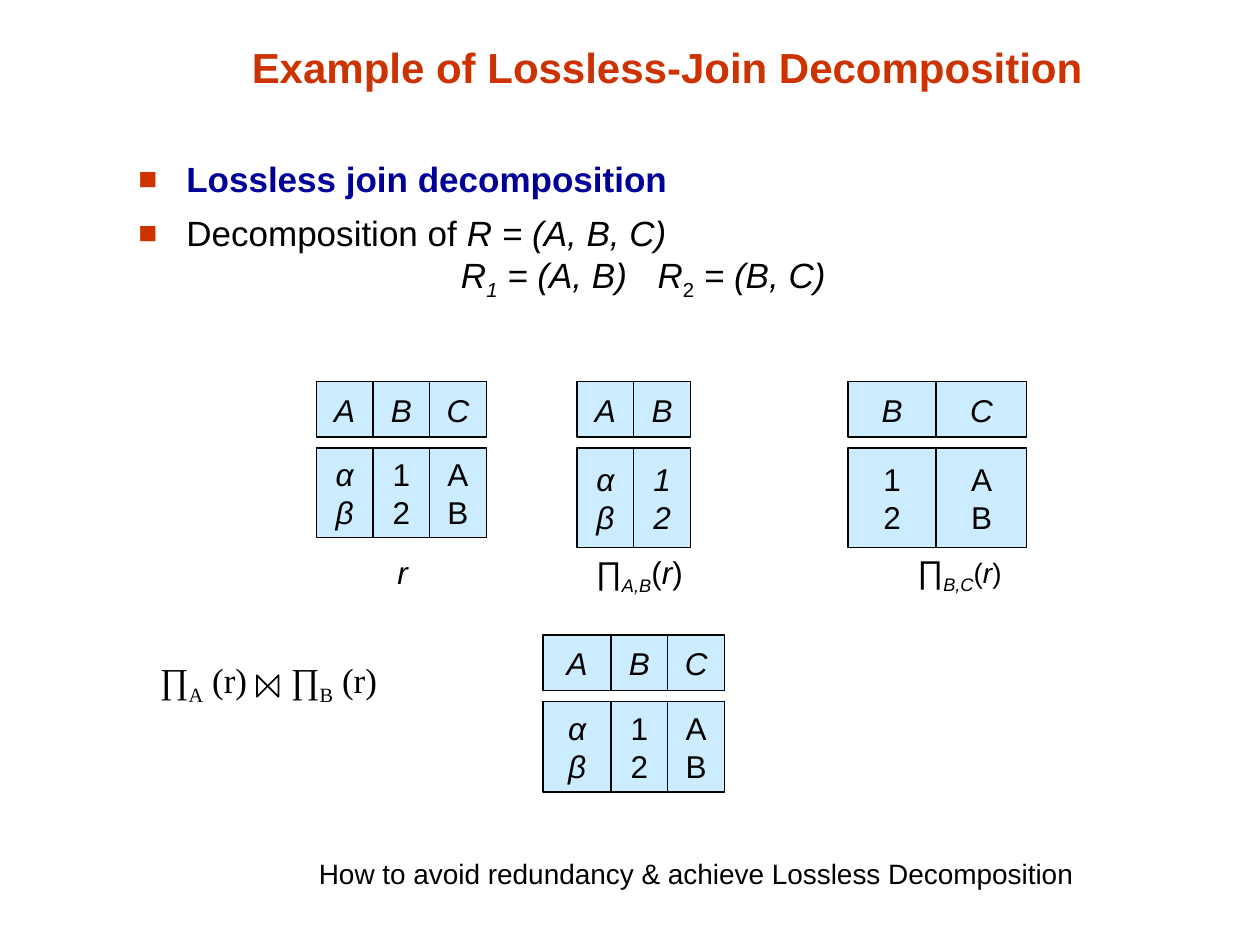
from dataclasses import dataclass

from lxml import etree
from pptx import Presentation
from pptx.dml.color import RGBColor
from pptx.enum.shapes import MSO_SHAPE
from pptx.enum.text import MSO_ANCHOR, PP_ALIGN
from pptx.oxml import parse_xml
from pptx.oxml.ns import nsdecls, qn
from pptx.util import Inches, Pt

RECTANGLE = MSO_SHAPE.RECTANGLE
TOP, MIDDLE, BOTTOM = MSO_ANCHOR.TOP, MSO_ANCHOR.MIDDLE, MSO_ANCHOR.BOTTOM
LEFT, CENTER = PP_ALIGN.LEFT, PP_ALIGN.CENTER


@dataclass(frozen=True)
class Theme:
    accent: str = "CC3300"
    term: str = "000099"
    ink: str = "000000"
    cell: str = "CCECFF"
    sans: str = "Arial"
    serif: str = "Times New Roman"
    title: int = 24
    body: int = 20
    table: int = 18
    small: int = 16


theme = Theme()


def write(para, spans, size, color=theme.ink, font=theme.sans, align=CENTER):
    para.alignment = align
    for text, style in spans:
        if style == "break":
            para.add_line_break()
            continue
        run = para.add_run()
        run.text = text
        run.font.name = font
        run.font.size = Pt(theme.small if "small" in style else size)
        run.font.color.rgb = RGBColor.from_string(color)
        run.font.bold = "bold" in style
        run.font.italic = "italic" in style
        if "sub" in style:
            run.font._element.set("baseline", "-25000")


def add_text_box(left, top, width, height, anchor=TOP):
    box = page.shapes.add_textbox(Inches(left), Inches(top), Inches(width), Inches(height))
    box.text_frame.word_wrap = True
    box.text_frame.vertical_anchor = anchor
    return box.text_frame


deck = Presentation()
deck.slide_width, deck.slide_height = Inches(10), Inches(7.5)
page = deck.slides.add_slide(deck.slide_layouts[5])

title = page.shapes.title
title.left, title.top = Inches(0.69), Inches(0.28)
title.width, title.height = Inches(9.21), Inches(0.5)
title.text_frame.vertical_anchor = BOTTOM
write(title.text_frame.paragraphs[0], [("Example of Lossless-Join Decomposition", "bold")],
      theme.title, theme.accent)

body = add_text_box(1, 1.2, 7.65, 1.32)
bullets = [
    (theme.term, [("Lossless join decomposition", "bold")]),
    (theme.ink, [
        ("Decomposition of ", ""), ("R = (A, B, C)", "italic"), ("", "break"),
        ("\tR", "italic"), ("1", "italic sub"), (" = (A, B)\tR", "italic"),
        ("2", "sub"), (" = (B, C)", "italic"),
    ]),
]
for index, (color, spans) in enumerate(bullets):
    para = body.add_paragraph() if index else body.paragraphs[0]
    properties = para._p.get_or_add_pPr()
    properties.set("marL", str(Inches(0.38)))
    properties.set("indent", str(-Inches(0.38)))
    for markup in (
        f'<a:buClr {nsdecls("a")}><a:srgbClr val="{theme.accent}"/></a:buClr>',
        f'<a:buSzPct {nsdecls("a")} val="90000"/>',
        f'<a:buFont {nsdecls("a")} typeface="{theme.sans}"/>',
        f'<a:buChar {nsdecls("a")} char="■"/>',
        f'<a:tabLst {nsdecls("a")}><a:tab pos="{Inches(2.56)}" algn="l"/>'
        f'<a:tab pos="{Inches(4.12)}" algn="l"/></a:tabLst>',
    ):
        properties.append(parse_xml(markup))
    para.space_before = Pt(7 * index)
    write(para, spans, theme.body, color, align=LEFT)

values = {"A": "αβ", "B": "12", "C": "AB"}
header_height, row_offset = 0.44, 0.525
relations = [
    (2.51, 3.03, 0.71, {"A": 0.45, "B": 0.45, "C": 0.45}, "A"),
    (4.58, 3.03, 0.79, {"A": 0.45, "B": 0.45}, "AB"),
    (6.73, 3.03, 0.79, {"B": 0.7, "C": 0.72}, ""),
    (4.31, 5.04, 0.72, {"A": 0.54, "B": 0.45, "C": 0.45}, "A"),
]
for left, top, value_height, columns, italic_columns in relations:
    for name, width in columns.items():
        value_style = "italic" if name in italic_columns else ""
        for y, height, lines, style in (
            (top, header_height, name, "italic"),
            (top + row_offset, value_height, values[name], value_style),
        ):
            cell = page.shapes.add_shape(
                RECTANGLE, Inches(left), Inches(y), Inches(width), Inches(height))
            cell.shadow.inherit = False
            cell.fill.solid()
            cell.fill.fore_color.rgb = RGBColor.from_string(theme.cell)
            cell.line.color.rgb = RGBColor.from_string(theme.ink)
            cell.line.width = Pt(0.75)
            frame = cell.text_frame
            frame.word_wrap = False
            frame.vertical_anchor = MIDDLE
            for index, line in enumerate(lines):
                para = frame.add_paragraph() if index else frame.paragraphs[0]
                write(para, [(line, style)], theme.table)
        left += width

labels = [
    (2.94, 4.33, 0.51, [("r", "italic")]),
    (4.31, 4.35, 1.53, [("∏", ""), ("A,B", "italic sub"), ("(", ""), ("r", "italic"), (")", "")]),
    (7, 4.34, 1.23, [("∏", ""), ("B,C", "italic sub"), ("(", "small"),
                     ("r", "small italic"), (")", "small")]),
]
for left, top, width, spans in labels:
    label = add_text_box(left, top, width, 0.42, MIDDLE)
    write(label.paragraphs[0], spans, theme.table)

formula = add_text_box(1.17, 5.18, 2.96, 1).paragraphs[0]
tabs = etree.SubElement(formula._p.get_or_add_pPr(), qn("a:tabLst"))
etree.SubElement(tabs, qn("a:tab"), pos=str(Inches(1.04)), algn="l")
write(formula, [("∏", ""), ("A", "sub"), (" (r)\t∏", ""), ("B", "sub"), (" (r)", "")],
      theme.body, font=theme.serif, align=LEFT)

join_left, join_top, join_right, join_bottom = 2.04, 5.36, 2.21, 5.53
builder = page.shapes.build_freeform(Inches(join_left), Inches(join_top))
builder.add_line_segments(
    [(Inches(x), Inches(y)) for x, y in (
        (join_left, join_bottom), (join_right, join_top), (join_right, join_bottom))],
    close=True)
join = builder.convert_to_shape()
join.shadow.inherit = False
join.fill.background()
join.line.color.rgb = RGBColor.from_string(theme.ink)
join.line.width = Pt(1)

question = add_text_box(1.59, 6.75, 7.87, 0.37)
write(question.paragraphs[0],
      [("How to avoid redundancy & achieve Lossless Decomposition", "")], theme.small)

deck.save("out.pptx")
